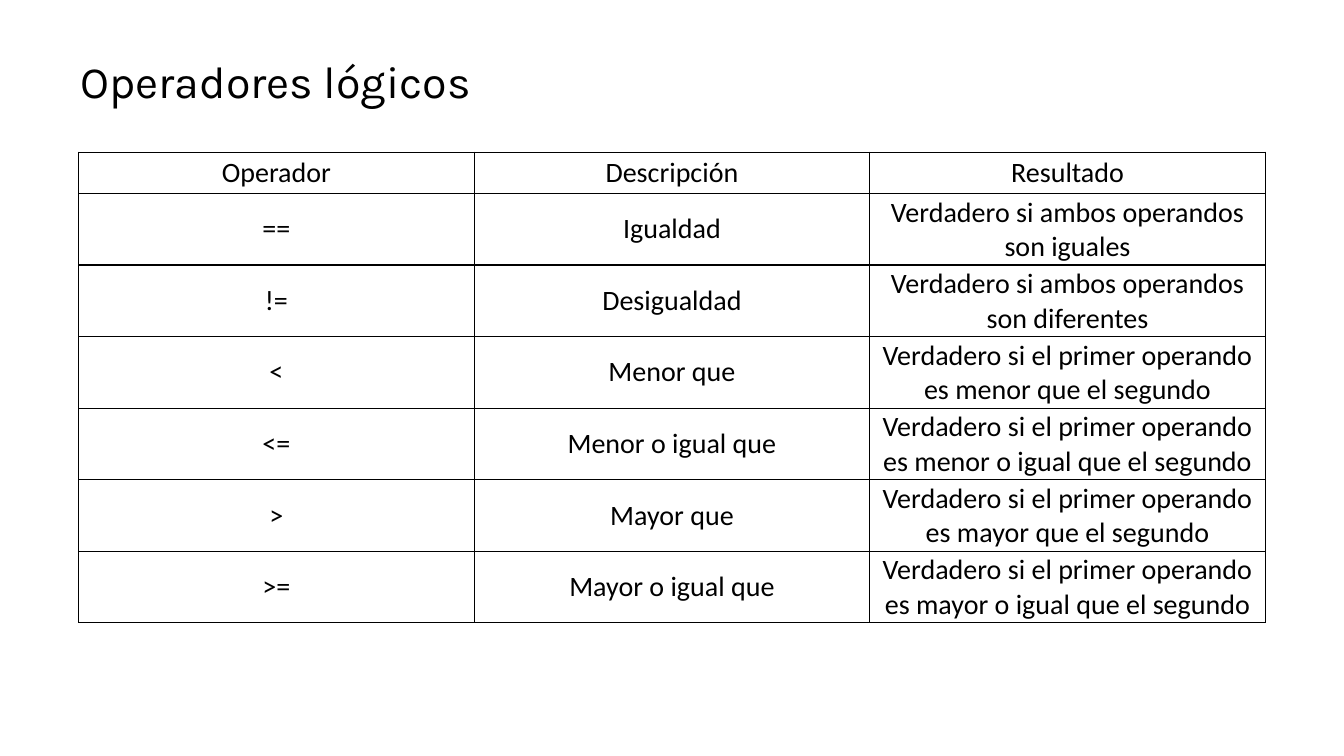
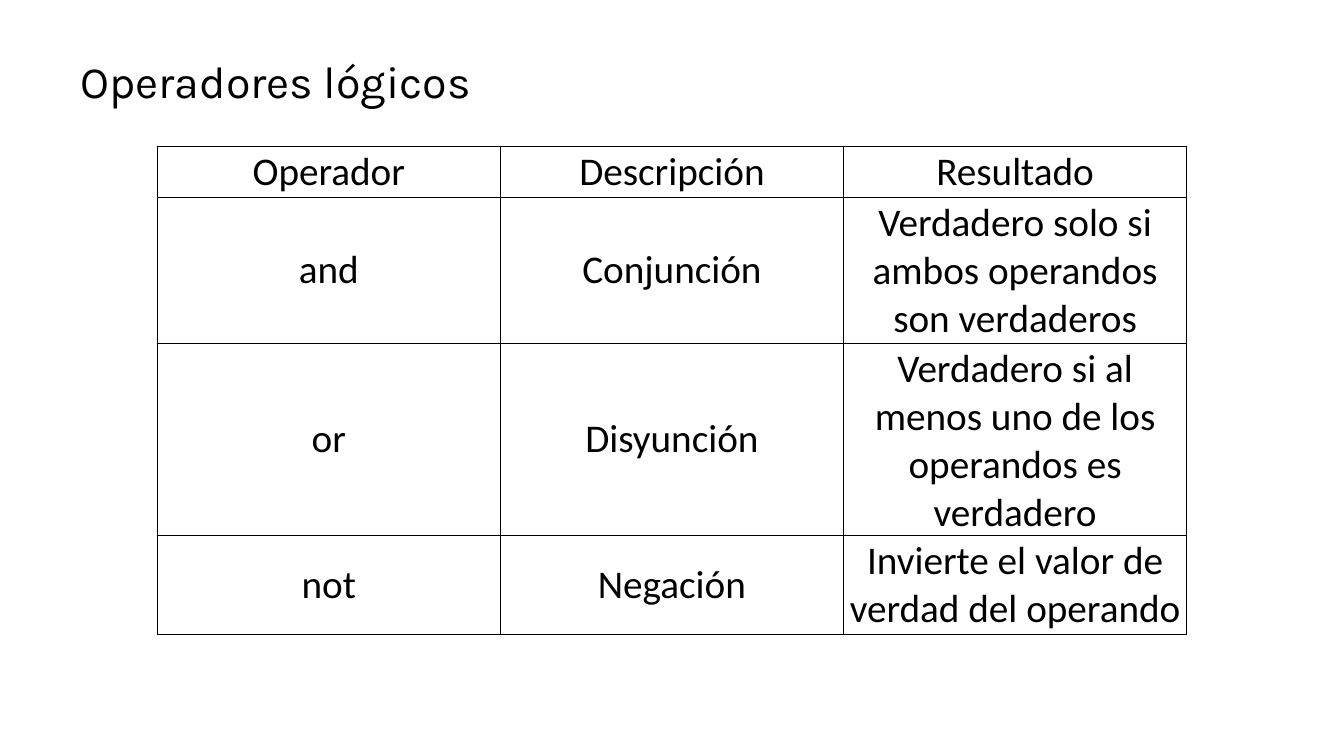
from dataclasses import dataclass

from pptx import Presentation
from pptx.dml.color import RGBColor
from pptx.enum.text import MSO_ANCHOR as Anchor, MSO_AUTO_SIZE as AutoSize, PP_ALIGN as Align
from pptx.oxml import parse_xml
from pptx.oxml.ns import nsdecls
from pptx.util import Inches, Pt


@dataclass(frozen=True)
class Theme:
    """Colours, fonts and sizes shared by the slides."""
    ink: str = "000000"
    paper: str = "FFFFFF"
    title_font: str = "Karla"
    table_font: str = "Calibri"
    title_size: int = 32
    border_width: float = 1


THEME = Theme()
TITLE = "Operadores lógicos"
TITLE_BOX = (0.7, 0.48, 10.78, 0.64)
HEADER = ("Operador", "Descripción", "Resultado")

COMPARISONS = (
    ("==", "Igualdad", "Verdadero si ambos operandos son iguales"),
    ("!=", "Desigualdad", "Verdadero si ambos operandos son diferentes"),
    ("<", "Menor que", "Verdadero si el primer operando es menor que el segundo"),
    ("<=", "Menor o igual que", "Verdadero si el primer operando es menor o igual que el segundo"),
    (">", "Mayor que", "Verdadero si el primer operando es mayor que el segundo"),
    (">=", "Mayor o igual que", "Verdadero si el primer operando es mayor o igual que el segundo"),
)
CONNECTIVES = (
    ("and", "Conjunción", "Verdadero solo si ambos operandos son verdaderos"),
    ("or", "Disyunción", "Verdadero si al menos uno de los operandos es verdadero"),
    ("not", "Negación", "Invierte el valor de verdad del operando"),
)
TABLES = (
    {"rows": COMPARISONS, "box": (0.78, 1.51, 11.77, 4.66),
     "heights": [0.41] + [0.71] * len(COMPARISONS), "size": 20},
    {"rows": CONNECTIVES, "box": (1.56, 1.45, 10.21, 4.83),
     "heights": [0.5, 1.45, 1.9, 0.98], "size": 28},
)


def apply_format(target, values):
    """Set every attribute named in values on target."""
    for name, value in values.items():
        setattr(target, name, value)


def write(para, text, font, size):
    """Add one span of text in the shared ink colour."""
    span = para.add_run()
    span.text = text
    apply_format(span.font, {"name": font, "size": Pt(size), "bold": False})
    span.font.color.rgb = RGBColor.from_string(THEME.ink)


def add_title(page, box):
    """Place the slide title in its box."""
    frame = page.shapes.add_textbox(*map(Inches, box)).text_frame
    apply_format(frame, {"word_wrap": True, "auto_size": AutoSize.SHAPE_TO_FIT_TEXT})
    write(frame.paragraphs[0], TITLE, THEME.title_font, THEME.title_size)


def add_borders(cell):
    """Draw a solid line on the four sides of a cell."""
    properties = cell._tc.get_or_add_tcPr()
    for side in "LRTB":
        properties.append(parse_xml(
            f'<a:ln{side} {nsdecls("a")} w="{Pt(THEME.border_width)}"><a:solidFill>'
            f'<a:srgbClr val="{THEME.ink}"/></a:solidFill></a:ln{side}>'))


def fill_cell(cell, text, size, side_inset):
    """Format one table cell and write its centred text."""
    apply_format(cell, {
        "vertical_anchor": Anchor.MIDDLE,
        "margin_left": Inches(side_inset), "margin_right": Inches(side_inset),
        "margin_top": Inches(0.02), "margin_bottom": Inches(0.02),
    })
    add_borders(cell)
    cell.fill.background()
    para = cell.text_frame.paragraphs[0]
    para.alignment = Align.CENTER
    write(para, text, THEME.table_font, size)


def add_operator_table(page, box, rows, heights, size):
    """Place a table of operators with equal columns in its box."""
    grid = (HEADER, *rows)
    table = page.shapes.add_table(len(grid), len(HEADER), *map(Inches, box)).table
    apply_format(table, {"first_row": False, "horz_banding": False})
    for column in table.columns:
        column.width = Inches(box[2] / len(HEADER))
    for row_index, (texts, height) in enumerate(zip(grid, heights)):
        table.rows[row_index].height = Inches(height)
        for column_index, text in enumerate(texts):
            is_result = row_index > 0 and column_index == len(HEADER) - 1
            fill_cell(table.cell(row_index, column_index), text, size, 0 if is_result else 0.03)


def add_operator_slide(deck, table):
    """Add a slide with the title and one operator table."""
    page = deck.slides.add_slide(deck.slide_layouts[6])
    page.background.fill.solid()
    page.background.fill.fore_color.rgb = RGBColor.from_string(THEME.paper)
    add_title(page, TITLE_BOX)
    add_operator_table(page, **table)


def main():
    """Build and save the deck."""
    deck = Presentation()
    apply_format(deck, {"slide_width": Inches(13.33), "slide_height": Inches(7.5)})
    for table in TABLES:
        add_operator_slide(deck, table)
    deck.save("out.pptx")


if __name__ == "__main__":
    main()
